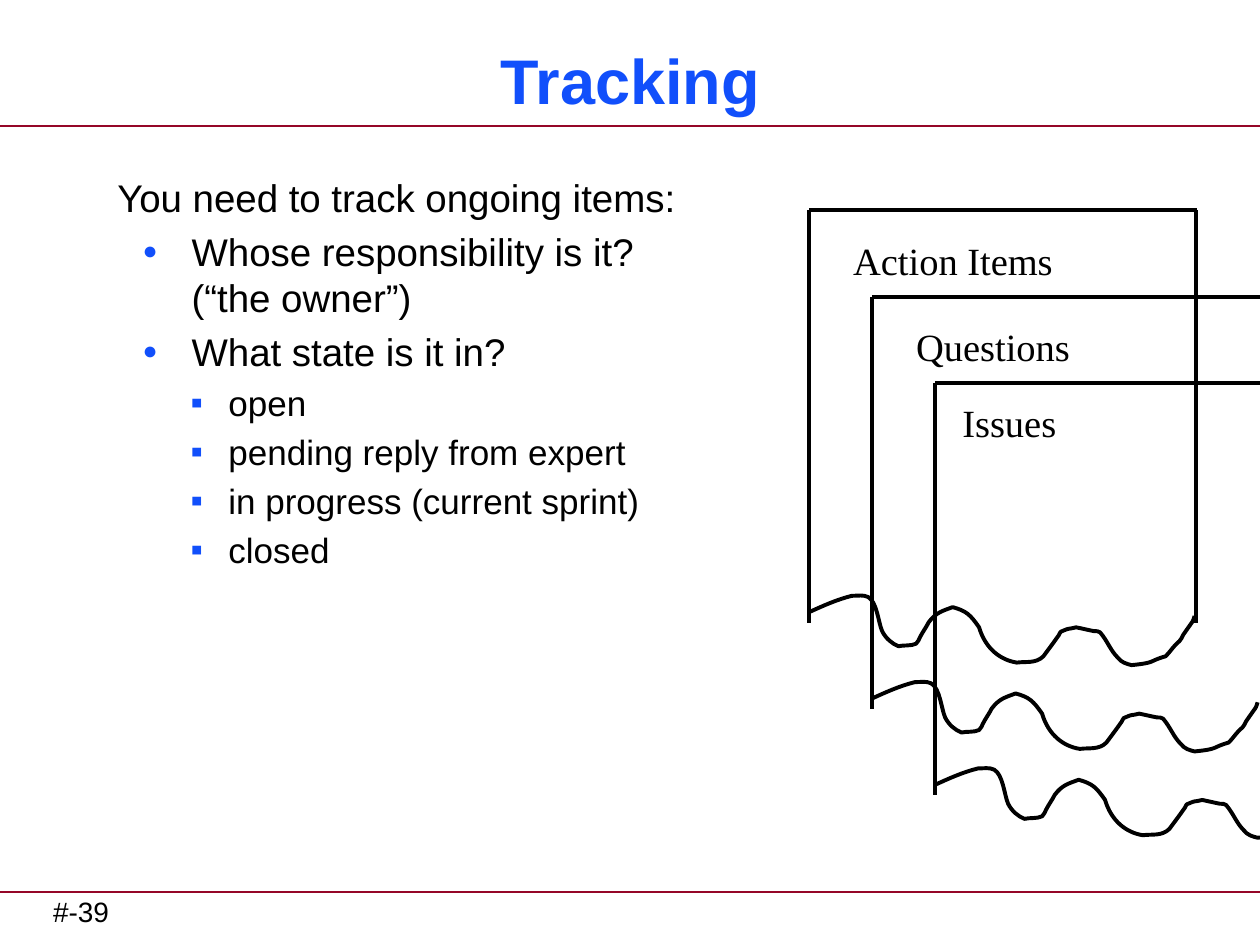
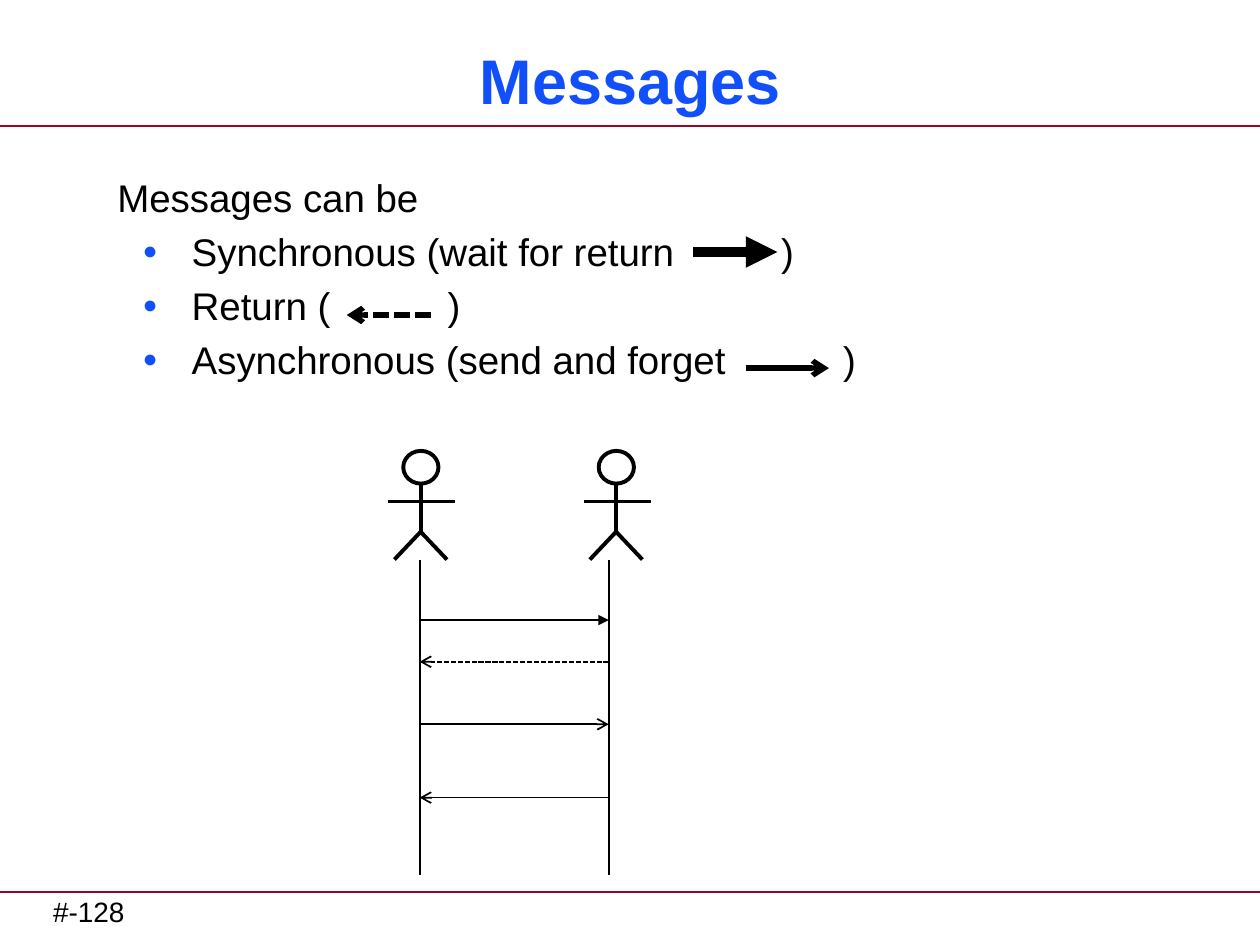
from dataclasses import dataclass
from typing import NamedTuple, Optional

from lxml import etree
from pptx import Presentation
from pptx import util as u
from pptx.dml.color import RGBColor
from pptx.enum import dml, shapes, text
from pptx.oxml import ns
from pptx.util import Cm


@dataclass(frozen=True)
class Theme:
    ink: RGBColor = RGBColor(0x00, 0x00, 0x00)
    accent: RGBColor = RGBColor(0x11, 0x4F, 0xFB)
    rule: RGBColor = RGBColor(0x95, 0x07, 0x28)
    sans: str = "Arial"
    serif: str = "Times New Roman"
    title: int = 36
    body: int = 22
    detail: int = 20
    footer: int = 16
    thin: float = 1
    band: float = 1.5
    pen: float = 2.25


THEME = Theme()


class Level(NamedTuple):
    size: int
    margin: float = 0
    hanging: float = 0
    bullet: str = ""
    bullet_percent: int = 100


LEVELS = (
    Level(THEME.body),
    Level(THEME.body, 1.5, 0.99, "●", 65),
    Level(THEME.detail, 2.24, 0.76, "▪"),
)


class Item(NamedTuple):
    words: str
    level: int = 0
    tab: Optional[float] = None


class Stroke(NamedTuple):
    x1: float
    y1: float
    x2: float
    y2: float
    width: float = THEME.thin
    head: str = ""
    dashed: bool = False
    color: RGBColor = THEME.ink


class Sheet(NamedTuple):
    label: str
    label_dx: float
    label_dy: float
    label_width: float
    wraps: bool = False


SLIDE_WIDTH, SLIDE_HEIGHT = 25.4, 19.05
BANDS = [Stroke(0, y, SLIDE_WIDTH, y, THEME.band, color=THEME.rule) for y in (2.54, 17.98)]

TRACKING = [
    Item("You need to track ongoing items:"),
    Item("Whose responsibility is it?\v(“the owner”)", 1),
    Item("What state is it in?", 1),
    Item("open", 2),
    Item("pending reply from expert", 2),
    Item("in progress (current sprint)", 2),
    Item("closed", 2),
]
MESSAGES = [
    Item("Messages can be"),
    Item("Synchronous (wait for return\t)", 1, 13.38),
    Item("Return (\t)", 1, 6.66),
    Item("Asynchronous (send and forget\t)", 1, 14.63),
]

SHEETS = [
    Sheet("Action Items", 0.64, 0.41, 6.15, True),
    Sheet("Questions", 0.64, 0.41, 3.66),
    Sheet("Issues", 0.3, 0.2, 2.44),
]
SHEET_LEFT, SHEET_TOP = 16.31, 4.24
SHEET_WIDTH, SHEET_HEIGHT = 7.82, 8.31
SHEET_DX, SHEET_DY = 1.27, 1.74
WAVE_UNIT = Cm(0.0254)
WAVE_START = (0, 319)
WAVE_CURVES = [
    (11, 314), (22, 309), (34, 306), (39, 306), (43, 305), (47, 307),
    (54, 311), (55, 327), (58, 334), (61, 340), (66, 344), (71, 346),
    (75, 345), (81, 346), (85, 344), (87, 343), (87, 340), (88, 339),
    (90, 335), (93, 331), (95, 327), (101, 319), (106, 318), (114, 315),
    (125, 318), (128, 321), (135, 331), (140, 348), (152, 357), (165, 359),
    (172, 358), (180, 360), (186, 354), (186, 354), (195, 342), (197, 339),
    (199, 337), (199, 334), (201, 334), (208, 331), (204, 333), (212, 331),
    (217, 332), (221, 333), (226, 334), (228, 334), (230, 334), (231, 335),
    (237, 342), (239, 349), (245, 355), (248, 359), (252, 360), (256, 361),
    (276, 359), (269, 358), (283, 354), (288, 349), (289, 346), (294, 342),
    (295, 341), (296, 339), (297, 337), (299, 334), (304, 327), (304, 327),
    (305, 326), (306, 322), (306, 322),
]

ACTOR_CENTERS = (8.48, 12.42)
LIFELINES = LEFT_LIFE, RIGHT_LIFE = (8.46, 12.27)
FEET_Y, LIFE_END = 11.28, 17.63
LEGEND = [
    Stroke(13.97, 5.08, 15.67, 5.08, 6, "triangle"),
    Stroke(8.69, 6.35, 6.99, 6.35, 3, "arrow", True),
    Stroke(15.03, 7.42, 16.71, 7.42, 3, "arrow"),
]
CALLS = [
    Stroke(LEFT_LIFE, 12.5, RIGHT_LIFE, 12.5, head="triangle"),
    Stroke(RIGHT_LIFE, 13.34, LEFT_LIFE, 13.34, head="arrow", dashed=True),
    Stroke(LEFT_LIFE, 14.6, RIGHT_LIFE, 14.6, head="arrow"),
    Stroke(RIGHT_LIFE, 16.08, LEFT_LIFE, 16.08, head="arrow"),
]


def add_xml(parent, tag: str, **attributes):
    return etree.SubElement(parent, ns.qn(tag), attributes)


def set_font(para, size: int, name: str = THEME.sans, color: RGBColor = THEME.ink) -> None:
    para.font.size, para.font.name = u.Pt(size), name
    para.font.color.rgb = color


def place(box, left: float, top: float, width: float, height: float) -> None:
    box.left, box.top, box.width, box.height = map(Cm, (left, top, width, height))


def draw_stroke(page, stroke: Stroke) -> None:
    ends = map(Cm, stroke[:4])
    connector = page.shapes.add_connector(shapes.MSO_CONNECTOR.STRAIGHT, *ends)
    line = connector.line
    line.color.rgb, line.width = stroke.color, u.Pt(stroke.width)
    if stroke.dashed:
        line.dash_style = dml.MSO_LINE.SQUARE_DOT
    if stroke.head:
        add_xml(line._get_or_add_ln(), "a:tailEnd", type=stroke.head)
    add_xml(connector._element.spPr, "a:effectLst")


def outline(shape) -> None:
    shape.shadow.inherit = False
    shape.fill.background()
    shape.line.color.rgb, shape.line.width = THEME.ink, u.Pt(THEME.pen)


def add_label(page, words: str, left: float, top: float, width: float, height: float,
              size: int, font: str, wraps: bool = True):
    box = page.shapes.add_textbox(*map(Cm, (left, top, width, height)))
    box.text_frame.word_wrap = wraps
    para = box.text_frame.paragraphs[0]
    para.text = words
    set_font(para, size, font)
    return box


def format_item(para, item: Item) -> None:
    level = LEVELS[item.level]
    para.text, para.level = item.words, item.level
    para.space_before = u.Pt(level.size * 0.2)
    props = para._p.get_or_add_pPr()
    props.set("marL", str(Cm(level.margin)))
    props.set("indent", str(-Cm(level.hanging)))
    if level.bullet:
        add_xml(add_xml(props, "a:buClr"), "a:srgbClr", val=str(THEME.accent))
        add_xml(props, "a:buSzPct", val=str(level.bullet_percent * 1000))
        add_xml(props, "a:buFont", typeface=THEME.sans)
        add_xml(props, "a:buChar", char=level.bullet)
    else:
        add_xml(props, "a:buNone")
    if item.tab:
        add_xml(add_xml(props, "a:tabLst"), "a:tab", pos=str(Cm(item.tab)), algn="l")
    set_font(para, level.size)


def add_page(deck, title: str, number: str, items: list[Item]):
    page = deck.slides.add_slide(deck.slide_layouts[1])
    for band in BANDS:
        draw_stroke(page, band)
    footer = add_label(page, number, 1.07, 17.91, 12.27, 0.94, THEME.footer, THEME.sans)
    footer.text_frame.margin_left = footer.text_frame.margin_right = 0

    heading, body = page.shapes.title, page.placeholders[1]
    place(heading, 0.43, 0.64, 24.56, 1.9)
    heading.text_frame.vertical_anchor = text.MSO_ANCHOR.MIDDLE
    para = heading.text_frame.paragraphs[0]
    para.text, para.alignment = title, text.PP_ALIGN.CENTER
    set_font(para, THEME.title, color=THEME.accent)
    para.font.bold = True

    place(body, 2.11, 3.38, 22.43, 14.17)
    for box in (heading, body):
        box.text_frame.auto_size = text.MSO_AUTO_SIZE.NONE
    for index, item in enumerate(items):
        frame = body.text_frame
        format_item(frame.add_paragraph() if index else frame.paragraphs[0], item)
    return page


def draw_wave(page, left: float, top: float) -> None:
    builder = page.shapes.build_freeform(*WAVE_START, scale=WAVE_UNIT)
    builder.add_line_segments(WAVE_CURVES, close=False)
    wave = builder.convert_to_shape(Cm(left), Cm(top))
    outline(wave)
    contour = next(wave._element.iter(ns.qn("a:path")))
    segments = contour.findall(ns.qn("a:lnTo"))
    for first in range(0, len(segments), 3):
        curve = add_xml(contour, "a:cubicBezTo")
        for segment in segments[first:first + 3]:
            curve.append(segment[0])
            contour.remove(segment)


def draw_sheet(page, sheet: Sheet, left: float, top: float) -> None:
    right, bottom = left + SHEET_WIDTH, top + SHEET_HEIGHT
    draw_stroke(page, Stroke(left, top, min(right, SLIDE_WIDTH), top, THEME.pen))
    sides = [x for x in (left, right - 0.02) if x < SLIDE_WIDTH - 0.1]
    for x in sides:
        draw_stroke(page, Stroke(x, top, x, bottom, THEME.pen))
    draw_wave(page, left, top)
    add_label(page, sheet.label, left + sheet.label_dx, top + sheet.label_dy,
              sheet.label_width, 1.19, THEME.body, THEME.serif, sheet.wraps)


def draw_actor(page, x: float) -> None:
    head = page.shapes.add_shape(shapes.MSO_SHAPE.OVAL, *map(Cm, (x - 0.35, 9.09, 0.71, 0.66)))
    outline(head)
    hip = 10.72
    limbs = [
        (x, 9.75, x, hip),
        (x - 0.53, FEET_Y, x, hip),
        (x + 0.53, FEET_Y, x, hip),
        (x - 0.65, 10.11, x + 0.7, 10.11),
    ]
    for limb in limbs:
        draw_stroke(page, Stroke(*limb, THEME.pen))


def main() -> None:
    deck = Presentation()
    deck.slide_width, deck.slide_height = Cm(SLIDE_WIDTH), Cm(SLIDE_HEIGHT)

    tracking = add_page(deck, "Tracking", "#-39", TRACKING)
    for index, sheet in enumerate(SHEETS):
        draw_sheet(tracking, sheet, SHEET_LEFT + index * SHEET_DX, SHEET_TOP + index * SHEET_DY)

    messages = add_page(deck, "Messages", "#-128", MESSAGES)
    for center in ACTOR_CENTERS:
        draw_actor(messages, center)
    lifelines = [Stroke(x, FEET_Y, x, LIFE_END) for x in LIFELINES]
    for stroke in LEGEND + lifelines + CALLS:
        draw_stroke(messages, stroke)

    deck.save("out.pptx")


if __name__ == "__main__":
    main()
